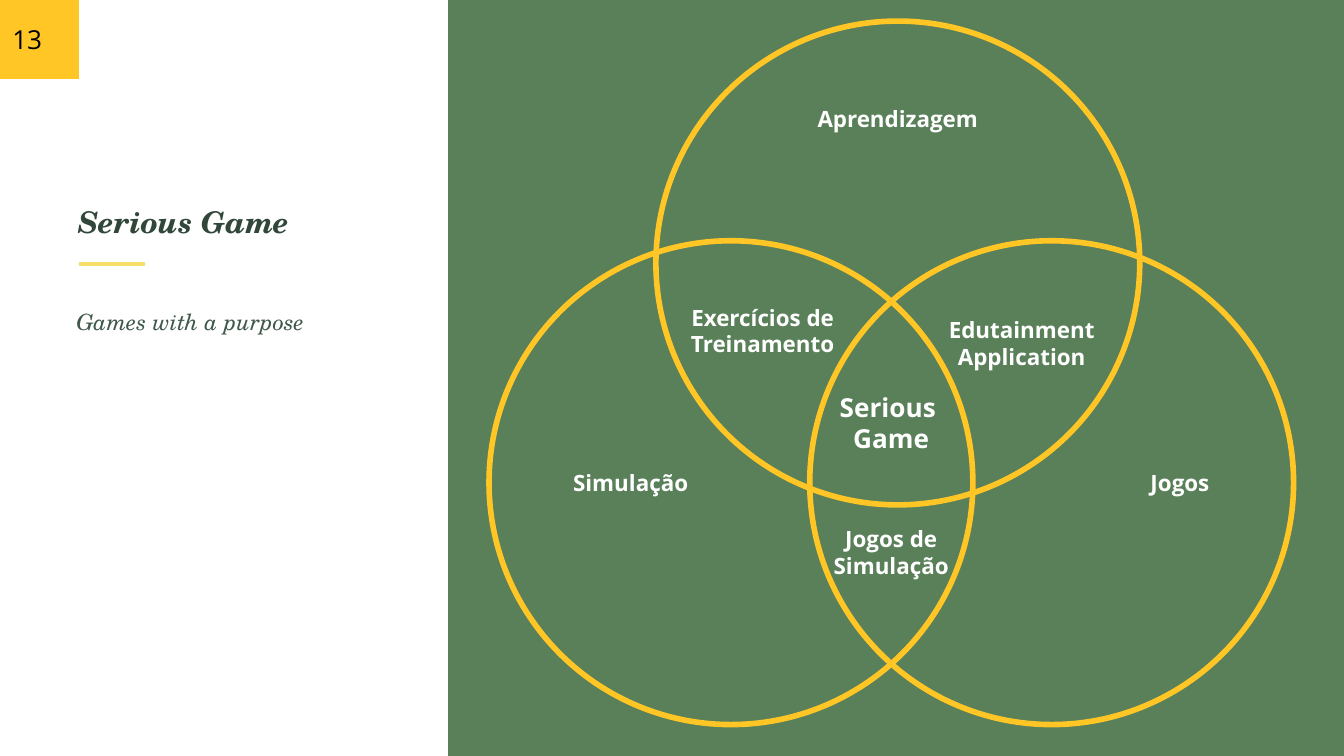
"""Build a slide with a three-circle Venn diagram of serious games."""
from lxml import etree
from pptx import Presentation
from pptx.dml.color import RGBColor
from pptx.enum.shapes import MSO_CONNECTOR, MSO_SHAPE
from pptx.enum.text import MSO_ANCHOR, PP_ALIGN
from pptx.oxml.ns import qn
from pptx.util import Pt

RECT, OVAL, STRAIGHT = MSO_SHAPE.RECTANGLE, MSO_SHAPE.OVAL, MSO_CONNECTOR.STRAIGHT
TOP, MIDDLE, BOTTOM = MSO_ANCHOR.TOP, MSO_ANCHOR.MIDDLE, MSO_ANCHOR.BOTTOM
LEFT, CENTER, RIGHT = PP_ALIGN.LEFT, PP_ALIGN.CENTER, PP_ALIGN.RIGHT

SANS, SERIF = "Open Sans", "TeX Gyre Schola"
THEME = {
    "panel": "406C3E", "panel_alpha": 86, "accent": "FFC625", "rule": "F7DF6B",
    "title": {"name": SERIF, "size": 16, "color": "31473A", "bold": True, "italic": True},
    "subtitle": {"name": SERIF, "size": 12, "color": "3F584A", "italic": True},
    "number": {"name": SANS, "size": 14, "color": "000000"},
    "label": {"name": SANS, "size": 12, "color": "FFFFFF", "bold": True},
    "core": {"name": SANS, "size": 14, "color": "FFFFFF", "bold": True},
}

WIDTH, HEIGHT, PANEL_LEFT = 720, 405, 240
BADGE, INSET, DIAMETER = 42.3, 7.2, 259.2

CIRCLES = [
    ("Simulação", 262, 129, MIDDLE, LEFT),
    ("Aprendizagem", 351.4, 11.3, TOP, CENTER),
    ("Jogos", 433.8, 129, MIDDLE, RIGHT),
]
TEXTS = [
    (["Serious Game"], "title", (34.6, 82, 169, 53.3), BOTTOM, LEFT),
    (["13"], "number", (-0.5, 0, 43, BADGE), MIDDLE, LEFT),
    (["Serious ", "Game"], "core", (434.6, 203, 85.7, 47.5), BOTTOM, CENTER),
    (["Jogos de Simulação"], "label", (434.6, 280.8, 85.7, 36.7), BOTTOM, CENTER),
    (["Exercícios de Treinamento"], "label", (353.5, 151.2, 110.2, 47.5), BOTTOM, CENTER),
    (["Edutainment", "Application"], "label", (492.3, 157.7, 110.2, 47.5), BOTTOM, CENTER),
    (["Games with a purpose"], "subtitle", (33.8, 157.7, 171.4, 47.5), TOP, LEFT),
]


def rgb(value):
    return RGBColor.from_string(value)


def write(sp, lines, style, anchor, align):
    tf = sp.text_frame
    frame = {"word_wrap": True, "vertical_anchor": anchor}
    frame.update({f"margin_{side}": Pt(INSET) for side in ("left", "right", "top", "bottom")})
    for name, value in frame.items():
        setattr(tf, name, value)
    for i, line in enumerate(lines):
        p = tf.add_paragraph() if i else tf.paragraphs[0]
        p.alignment = align
        r = p.add_run()
        r.text = line
        for name, value in THEME[style].items():
            if name == "color":
                r.font.color.rgb = rgb(value)
            else:
                setattr(r.font, name, Pt(value) if name == "size" else value)


def add_shape(s, kind, box, fill=None, line=None):
    sp = s.shapes.add_shape(kind, *map(Pt, box))
    sp.shadow.inherit = False
    if fill:
        sp.fill.solid()
        sp.fill.fore_color.rgb = rgb(fill)
    else:
        sp.fill.background()
    if line:
        sp.line.color.rgb = rgb(line)
        sp.line.width = Pt(3)
    else:
        sp.line.fill.background()
    return sp


def add_backdrop(s):
    panel = add_shape(s, RECT, (PANEL_LEFT, 0, WIDTH - PANEL_LEFT, HEIGHT), THEME["panel"])
    color = panel.fill._xPr.find(".//" + qn("a:srgbClr"))
    etree.SubElement(color, qn("a:alpha"), val=str(THEME["panel_alpha"] * 1000))
    rule = s.shapes.add_connector(STRAIGHT, *map(Pt, (BADGE, 141.3, 77.7, 141.3)))
    rule.line.color.rgb = rgb(THEME["rule"])
    rule.line.width = Pt(2.25)
    etree.SubElement(rule._element.spPr, qn("a:effectLst"))
    add_shape(s, RECT, (0, 0, BADGE, BADGE), THEME["accent"])


def main():
    prs = Presentation()
    prs.slide_width, prs.slide_height = Pt(WIDTH), Pt(HEIGHT)
    s = prs.slides.add_slide(prs.slide_layouts[6])
    add_backdrop(s)
    for text, x, y, anchor, align in CIRCLES:
        sp = add_shape(s, OVAL, (x, y, DIAMETER, DIAMETER), line=THEME["accent"])
        write(sp, [text], "label", anchor, align)
    for lines, style, box, anchor, align in TEXTS:
        write(s.shapes.add_textbox(*map(Pt, box)), lines, style, anchor, align)
    prs.save("out.pptx")


if __name__ == "__main__":
    main()
